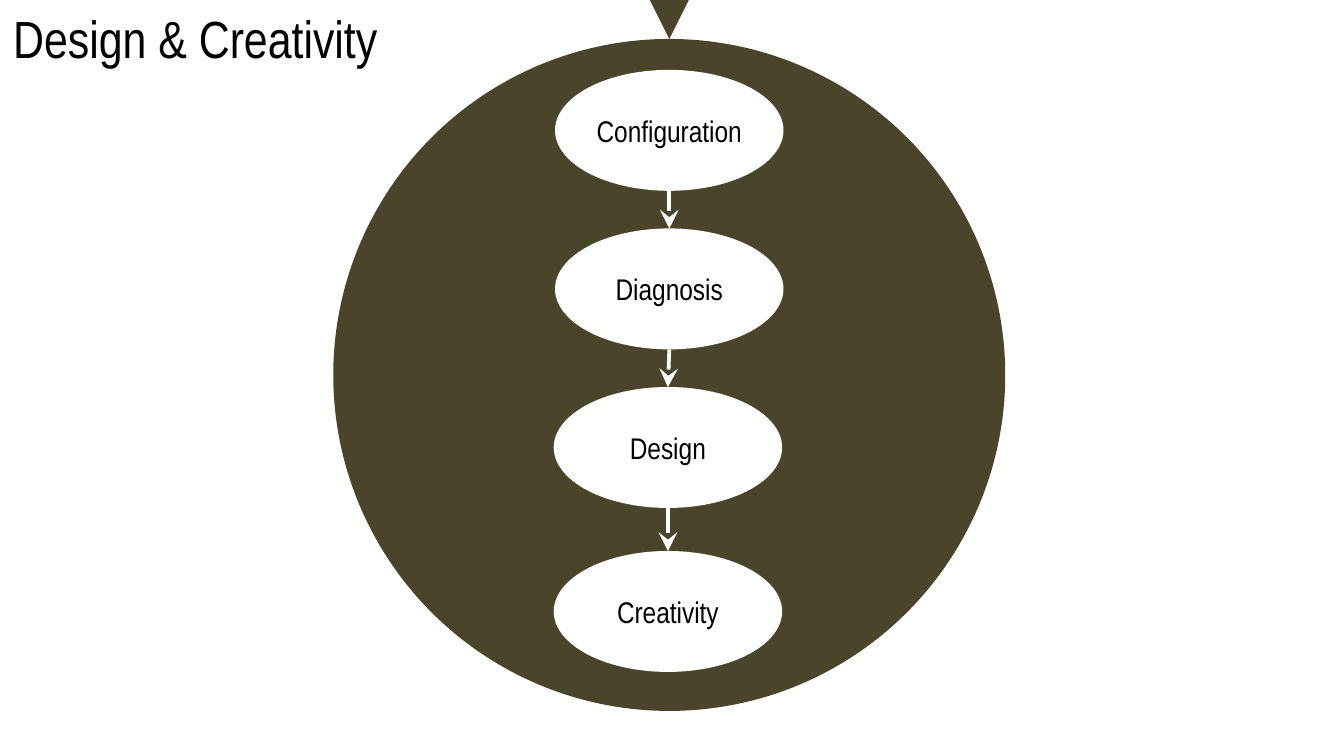
from lxml import etree
from pptx import Presentation
from pptx.dml.color import RGBColor
from pptx.enum.shapes import MSO_CONNECTOR, MSO_SHAPE
from pptx.enum.text import MSO_ANCHOR, MSO_AUTO_SIZE, PP_ALIGN
from pptx.oxml.ns import qn
from pptx.util import Inches, Pt

OVAL, STRAIGHT = MSO_SHAPE.OVAL, MSO_CONNECTOR.STRAIGHT
MIDDLE, CENTER = MSO_ANCHOR.MIDDLE, PP_ALIGN.CENTER
GROW = MSO_AUTO_SIZE.SHAPE_TO_FIT_TEXT

THEME = {
    "font": "Arial Narrow",
    "disc": RGBColor.from_string("4A452A"),
    "step": RGBColor.from_string("FFFFFF"),
    "text": RGBColor.from_string("000000"),
    "title_size": Pt(28),
    "step_size": Pt(16),
    "entry_width": Pt(10),
    "link_width": Pt(2),
}

# Widescreen slide, 16:9
prs = Presentation()
prs.slide_width = Inches(10)
prs.slide_height = prs.slide_width * 9 // 16
s = prs.slides.add_slide(prs.slide_layouts[6])

# Column axis and row tops of the steps
AXIS = Inches(4.98)
STEP_W, STEP_H = Inches(1.7), Inches(0.9)
DISC, DISC_TOP = Inches(5), Inches(0.29)
NUDGE = Inches(0.01)
STEPS = [
    ("Configuration", AXIS, Inches(0.52)),
    ("Diagnosis", AXIS, Inches(1.7)),
    ("Design", AXIS - NUDGE, Inches(2.88)),
    ("Creativity", AXIS - NUDGE, Inches(4.1)),
]


def write(tf, text, size):
    r = tf.paragraphs[0].add_run()
    r.text = text
    for name, value in {"name": THEME["font"], "size": size}.items():
        setattr(r.font, name, value)
    r.font.color.rgb = THEME["text"]


def arrow(x1, y1, x2, y2, color, width):
    line = s.shapes.add_connector(STRAIGHT, x1, y1, x2, y2)
    line.line.color.rgb = color
    line.line.width = width
    ln = line.line._get_or_add_ln()
    etree.SubElement(ln, qn("a:tailEnd"), type="stealth", w="lg", len="lg")
    etree.SubElement(ln.getparent(), qn("a:effectLst"))


# Disc with the arrow entering from the top edge
disc = s.shapes.add_shape(OVAL, AXIS - DISC // 2, DISC_TOP, DISC, DISC)
disc.shadow.inherit = False
disc.fill.solid()
disc.fill.fore_color.rgb = THEME["disc"]
disc.line.fill.background()
arrow(AXIS, 0, AXIS, DISC_TOP, THEME["disc"], THEME["entry_width"])

# Title
tf = s.shapes.add_textbox(0, 0, Inches(3.51), Inches(0.57)).text_frame
tf.word_wrap = True
tf.auto_size = GROW
write(tf, "Design & Creativity", THEME["title_size"])

# Steps
FRAME = {"vertical_anchor": MIDDLE, "margin_left": 0, "margin_right": 0,
         "margin_top": 0, "margin_bottom": 0, "word_wrap": True}
for label, x, top in STEPS:
    sp = s.shapes.add_shape(OVAL, x - STEP_W // 2, top, STEP_W, STEP_H)
    sp.shadow.inherit = False
    sp.fill.solid()
    sp.fill.fore_color.rgb = THEME["step"]
    sp.line.fill.background()
    tf = sp.text_frame
    for name, value in FRAME.items():
        setattr(tf, name, value)
    tf.paragraphs[0].alignment = CENTER
    write(tf, label, THEME["step_size"])

# Links from each step to the next
for (_, x1, top), (_, x2, next_top) in zip(STEPS, STEPS[1:]):
    arrow(x1, top + STEP_H, x2, next_top, THEME["step"], THEME["link_width"])

prs.save("out.pptx")
